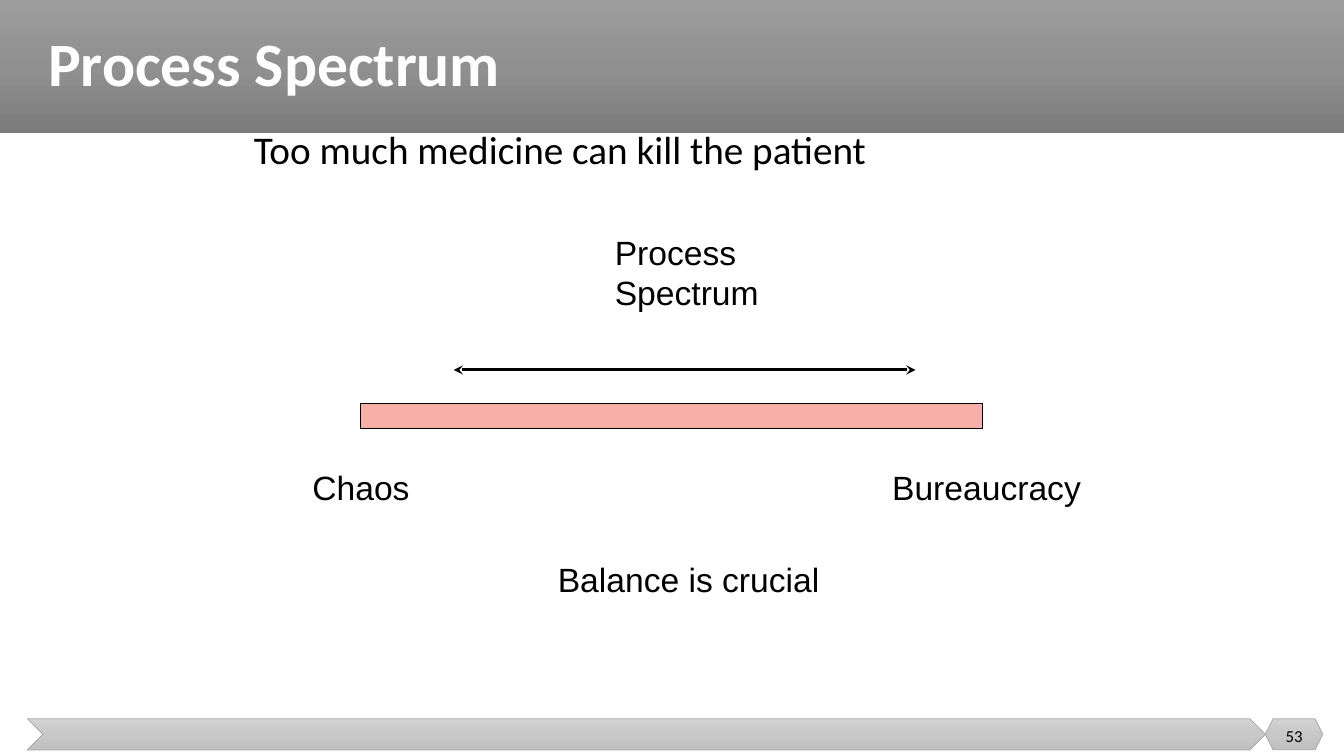
import copy
import pptx
import pptx.util
import pptx.dml.color
import pptx.enum.shapes
import pptx.enum.text
import pptx.oxml.ns
import pptx.oxml.xmlchemy

Inches = pptx.util.Inches
Pt = pptx.util.Pt
Kind = pptx.enum.shapes.MSO_SHAPE
Align = pptx.enum.text.PP_ALIGN
Anchor = pptx.enum.text.MSO_ANCHOR
Node = pptx.oxml.xmlchemy.OxmlElement
qn = pptx.oxml.ns.qn


def paint(color, code):
    color.rgb = pptx.dml.color.RGBColor.from_string(code)


def write(words, box, size, font="Arial", code="000000", bold=False,
          align=Align.LEFT, anchor=Anchor.TOP, wrap=True, space=1.0):
    frame = slide.shapes.add_textbox(*[Inches(n) for n in box]).text_frame
    frame.text = words
    frame.word_wrap = wrap
    frame.vertical_anchor = anchor
    for para in frame.paragraphs:
        para.alignment = align
        para.line_spacing = space
        for run in para.runs:
            run.font.size = Pt(size)
            run.font.name = font
            run.font.bold = bold
            paint(run.font.color, code)


deck = pptx.Presentation()
deck.slide_width = Inches(13.33)
deck.slide_height = Inches(7.5)
slide = deck.slides.add_slide(deck.slide_layouts[6])

light = ["D2D2D2", "C8C8C8", "C0C0C0"]
bands = [
    (Kind.RECTANGLE, (0, 0, 13.33, 1.32), ["9D9D9D", "909090", "7C7C7C"], None),
    (Kind.CHEVRON, (0.27, 7.13, 12.28, 0.31), light, "A5A5A5"),
    (Kind.HEXAGON, (12.55, 7.13, 0.57, 0.31), light, "A5A5A5"),
]
for kind, box, codes, edge in bands:
    band = slide.shapes.add_shape(kind, *[Inches(n) for n in box])
    band.shadow.inherit = False
    band.fill.gradient()
    band.fill.gradient_angle = 270
    first = band.element.spPr.find(".//" + qn("a:gs"))
    first.addnext(copy.deepcopy(first))
    for stop, code, place in zip(band.fill.gradient_stops, codes, (0, 0.5, 1)):
        paint(stop.color, code)
        stop.position = place
    if edge:
        paint(band.line.color, edge)
        band.line.width = Pt(0.5)
    else:
        band.line.fill.background()

write("Process Spectrum", (0.38, 0, 12.74, 1.32), 44, "Calibri", "FFFFFF",
      bold=True, anchor=Anchor.MIDDLE, space=0.9)
write("Too much medicine can kill the patient", (2.42, 1.25, 8.5, 0.75), 28,
      "Calibri", space=0.9)
write("Balance is crucial", (2.58, 5.5, 8.5, 0.75), 24, align=Align.CENTER)

labels = [
    ("Process\vSpectrum", (6, 2.25, 1.64, 0.91)),
    ("Chaos", (3, 4.58, 1.17, 0.5)),
    ("Bureaucracy", (8.75, 4.58, 2.09, 0.5)),
]
for words, box in labels:
    write(words, box, 24, wrap=False)

arrow = slide.shapes.add_connector(
    pptx.enum.shapes.MSO_CONNECTOR.STRAIGHT,
    Inches(4.5), Inches(3.67), Inches(9.08), Inches(3.67))
paint(arrow.line.color, "000000")
arrow.line.width = Pt(2.25)
for end in ("a:headEnd", "a:tailEnd"):
    tip = Node(end)
    tip.set("type", "stealth")
    arrow.element.spPr.find(qn("a:ln")).append(tip)
arrow.element.spPr.append(Node("a:effectLst"))

bar = slide.shapes.add_shape(
    Kind.RECTANGLE, Inches(3.58), Inches(4), Inches(6.17), Inches(0.25))
bar.shadow.inherit = False
bar.fill.solid()
paint(bar.fill.fore_color, "F06157")
alpha = Node("a:alpha")
alpha.set("val", "50000")
bar.element.spPr.find(qn("a:solidFill"))[0].append(alpha)
paint(bar.line.color, "000000")
bar.line.width = Pt(0.75)

write("53", (12.55, 7.1, 0.57, 0.4), 12, "Calibri",
      align=Align.CENTER, anchor=Anchor.MIDDLE)

deck.save("out.pptx")
